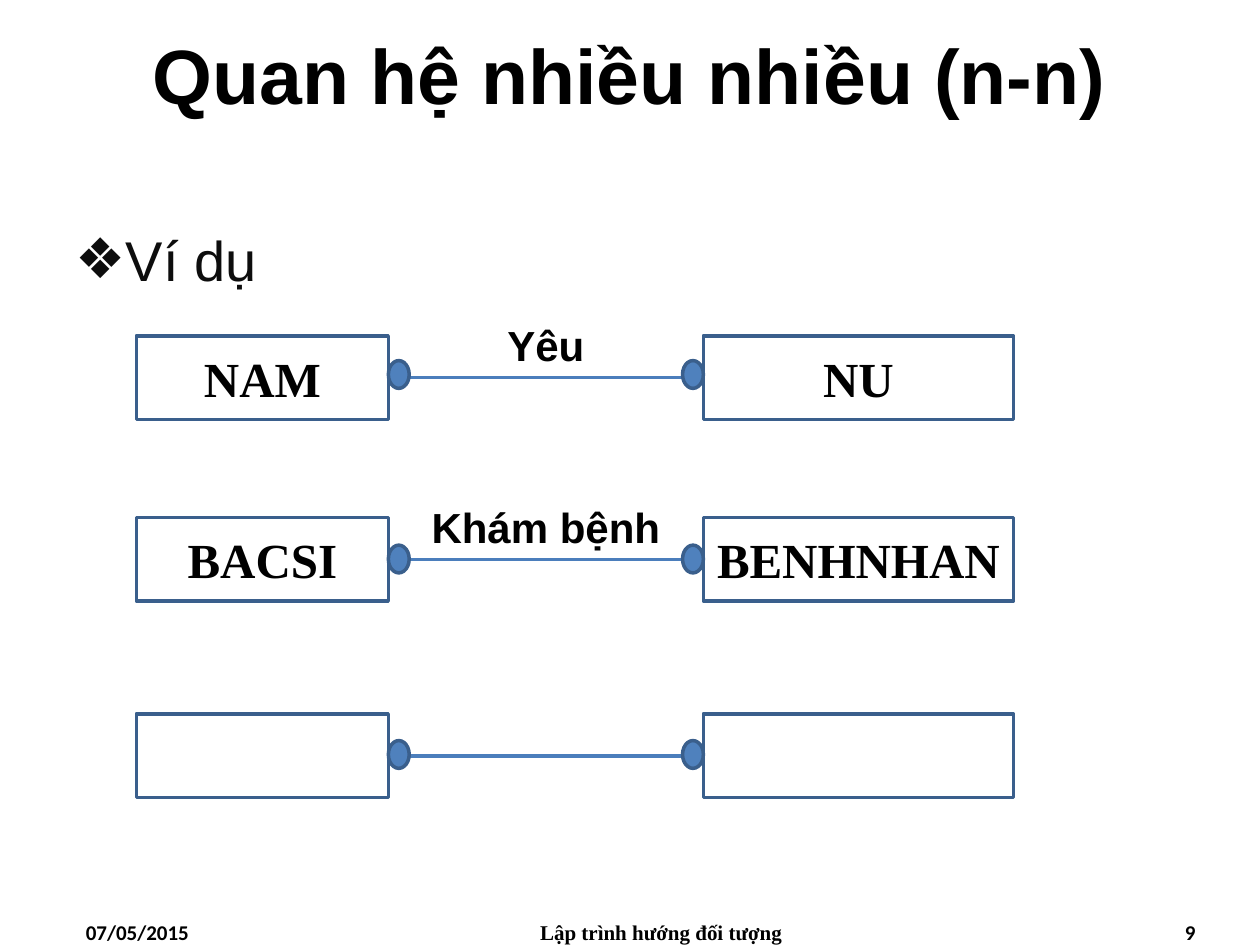
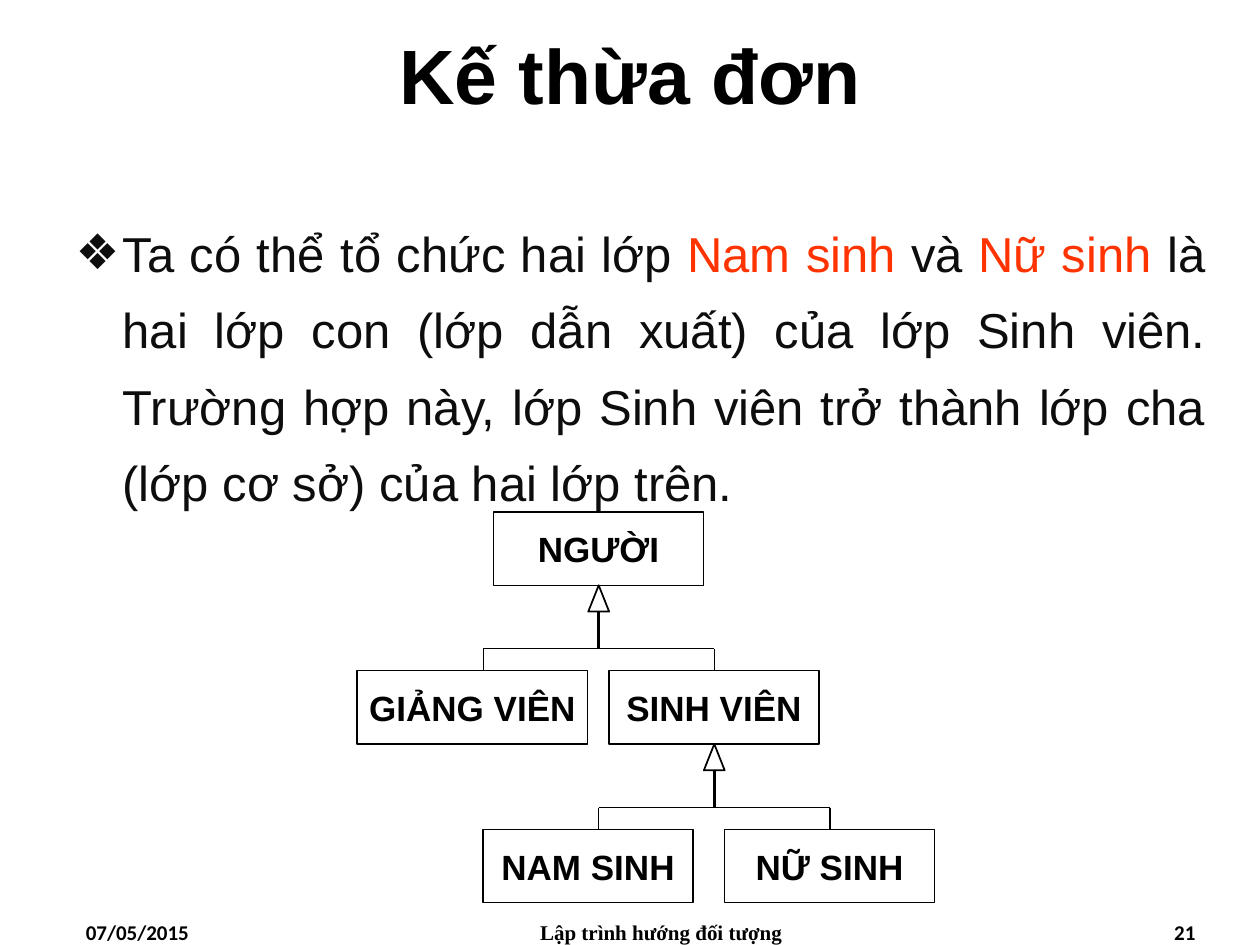
from lxml.etree import SubElement as Sub
from pptx import Presentation
from pptx.dml.color import RGBColor as Rgb
from pptx.enum.shapes import MSO_CONNECTOR as Link, MSO_SHAPE as Kind
from pptx.enum.text import MSO_ANCHOR as Anchor, MSO_AUTO_SIZE as Fit, PP_ALIGN as Align
from pptx.oxml.ns import qn
from pptx.util import Cm, Pt

HUES = {"black": "000000", "body": "0D0D0D", "red": "FF3300",
        "edge": "3A5F8C", "link": "4B7EBC", "dot": "4F81BD"}
SANS, SERIF, FOOT = "Arial", "Times New Roman", "Calibri"
WIDE, HIGH = 25.4, 19.05
PAGE = (0, 0, WIDE, HIGH)


def hue(name):
    return Rgb.from_string(HUES[name])


def style(run, size, font, tone="black", bold=True):
    face = run.font
    face.size, face.name, face.bold = Pt(size), font, bold
    face.color.rgb = hue(tone)


def write(frame, text, size, font, align=Align.CENTER, anchor=Anchor.MIDDLE, wrap=True):
    """Fill a frame with one bold black line."""
    frame.text = text
    frame.word_wrap, frame.auto_size = wrap, Fit.NONE
    frame.vertical_anchor = anchor
    para = frame.paragraphs[0]
    para.alignment = align
    for run in para.runs:
        style(run, size, font)


def move(shape, left, top, width, height):
    shape.left, shape.top = Cm(left), Cm(top)
    shape.width, shape.height = Cm(width), Cm(height)


def draw(shapes, kind, box, edge, width, fill=None):
    shape = shapes.add_shape(kind, *map(Cm, box))
    shape.shadow.inherit = False
    if fill:
        shape.fill.solid()
        shape.fill.fore_color.rgb = hue(fill)
    else:
        shape.fill.background()
    shape.line.color.rgb, shape.line.width = hue(edge), Pt(width)
    return shape


def join(shapes, start, end, tone, width):
    line = shapes.add_connector(Link.STRAIGHT, *map(Cm, start + end))
    line.line.color.rgb, line.line.width = hue(tone), Pt(width)
    Sub(line._element.spPr, qn("a:effectLst"))


# Shared page parts
def head(slide, box, text):
    title = slide.shapes.title
    move(title, *box)
    write(title.text_frame, text, 44, SANS)


def body(slide, box, parts, size):
    """Bulleted paragraph made of (text, tone) parts."""
    holder = slide.placeholders[1]
    move(holder, *box)
    frame = holder.text_frame
    frame.auto_size, frame.vertical_anchor = Fit.NONE, Anchor.TOP
    para = frame.paragraphs[0]
    para.alignment, para.line_spacing = Align.JUSTIFY, 1.3
    para.space_before = para.space_after = Pt(3)
    for text, tone in parts:
        run = para.add_run()
        run.text = text
        style(run, size, SANS, tone, False)
    props = para._p.get_or_add_pPr()
    props.set("marL", str(Cm(0.95)))
    props.set("indent", str(Cm(-0.95)))
    Sub(props, qn("a:buFont")).set("typeface", SANS)
    Sub(props, qn("a:buChar")).set("char", "❖")


def foot(slide, box, number):
    x, y, _, height = box
    top = y + height - 0.63
    cells = [(1.48, 5.93, "07/05/2015", FOOT, Align.LEFT),
             (9.31, 8.04, "Lập trình hướng đối tượng", SERIF, Align.CENTER),
             (18.42, 5.93, str(number), FOOT, Align.RIGHT)]
    for left, width, text, font, align in cells:
        cell = slide.shapes.add_textbox(Cm(x + left), Cm(top), Cm(width), Cm(0.63))
        write(cell.text_frame, text, 12, font, align, Anchor.TOP)


def page(deck, title, parts, size, number):
    slide = deck.slides.add_slide(deck.slide_layouts[1])
    head(slide, (0, 0, WIDE, 2.96), title)
    body(slide, (1.27, 4.02, 23.28, 13.7), parts, size)
    foot(slide, PAGE, number)
    return slide


# Many-to-many relation: two boxes, a link with a dot at each end, a label
def pair(slide, box, names, label, rise):
    x, y, width, height = box
    first, last = 5.08, 6.25
    near, far = x + first, x + width - last
    mid = y + height / 2
    shapes = slide.shapes.add_group_shape().shapes
    for left, size, name in ((x, first, names[0]), (far, last, names[1])):
        rect = draw(shapes, Kind.RECTANGLE, (left, y, size, height), "edge", 2)
        write(rect.text_frame, name, 28, SERIF)
    join(shapes, (near, mid), (far, mid), "link", 2)
    if label:
        span = 5.3
        left = (near + far - span) / 2
        note = shapes.add_textbox(Cm(left), Cm(y - 0.45), Cm(span), Cm(1.27))
        write(note.text_frame, label, 24, SANS, anchor=Anchor.TOP)
    for left in (far - 0.42, near):
        draw(shapes, Kind.OVAL, (left, y + rise, 0.42, 0.56), "edge", 2, "dot")


# Inheritance fork hanging below the parent's bottom centre
def fork(shapes, x, y):
    half, tip, bar, drop = 2.33, 0.53, 1.28, 1.72
    draw(shapes, Kind.ISOSCELES_TRIANGLE, (x - 0.21, y, 0.42, tip), "black", 1)
    join(shapes, (x, y + bar), (x, y + tip), "black", 1.5)
    join(shapes, (x - half, y + bar), (x + half, y + bar), "black", 0.75)
    for end in (x - half, x + half):
        join(shapes, (end, y + bar), (end, y + drop), "black", 0.75)


def tree(slide, box):
    x, y, _, height = box
    tall = 1.48
    step = (height - tall) / 2
    shapes = slide.shapes.add_group_shape().shapes
    nodes = [(2.75, 0, 4.23, "NGƯỜI"), (0, 1, 4.65, "GIẢNG VIÊN"),
             (5.08, 1, 4.23, "SINH VIÊN"), (2.54, 2, 4.23, "NAM SINH"),
             (7.41, 2, 4.23, "NỮ SINH")]
    for left, level, width, name in nodes:
        place = (x + left, y + level * step, width, tall)
        rect = draw(shapes, Kind.RECTANGLE, place, "black", 0.75)
        write(rect.text_frame, name, 20, SANS, wrap=False)
    for level, mid in enumerate((4.87, 7.2)):
        fork(shapes, x + mid, y + level * step + tall)


def main():
    deck = Presentation()
    deck.slide_width, deck.slide_height = Cm(WIDE), Cm(HIGH)

    # Many-to-many slide
    slide = page(deck, "Quan hệ nhiều nhiều (n-n)", [("Ví dụ", "body")], 32, 9)
    rows = [(6.77, ("NAM", "NU"), "Yêu", 0.5),
            (10.43, ("BACSI", "BENHNHAN"), "Khám bệnh", 0.56),
            (14.39, ("", ""), "", 0.54)]
    for top, names, label, rise in rows:
        pair(slide, (2.75, top, 17.68, 1.69), names, label, rise)

    # Single inheritance slide
    parts = [("Ta có thể tổ chức hai lớp ", "body"), ("Nam sinh ", "red"),
             ("và ", "body"), ("Nữ sinh", "red"),
             (" là hai lớp con (lớp dẫn xuất) của lớp Sinh viên. Trường hợp này, "
              "lớp Sinh viên trở thành lớp cha (lớp cơ sở) của hai lớp trên.", "body")]
    slide = page(deck, "Kế thừa đơn", parts, 28, 21)
    tree(slide, (7.2, 10.32, 11.64, 7.88))

    deck.save("out.pptx")


if __name__ == "__main__":
    main()
